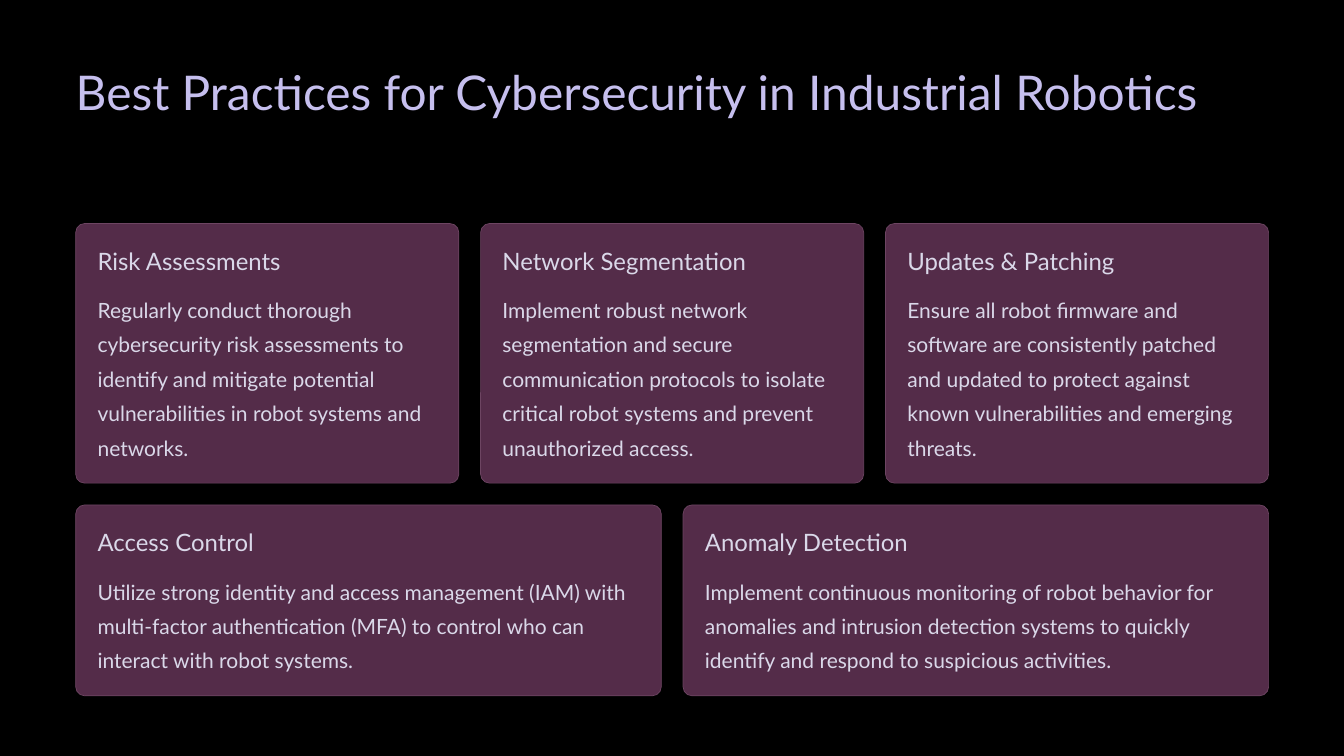
"""Builds a slide of five cybersecurity practice cards for industrial robotics."""
import pptx
import pptx.dml.color
import pptx.enum.shapes
import pptx.enum.text
import pptx.util
from pptx.util import Cm

MARGIN = 2.29
CONTENT_WIDTH = 36.07
GAP = 0.66
PADDING = 0.66
RADIUS = 0.27
BODY_OFFSET = 1.96

TITLE_STYLE = {"size": 41, "spacing": 51, "color": "C6BFEE"}
HEADING_STYLE = {"size": 20.5, "spacing": 25.5, "color": "DAD8E9"}
BODY_STYLE = {"size": 18, "spacing": 29.5, "color": "DAD8E9"}

FRAME_FORMAT = {
    "margin_left": 0,
    "margin_top": 0,
    "margin_right": 0,
    "margin_bottom": 0,
    "auto_size": pptx.enum.text.MSO_AUTO_SIZE.NONE,
    "vertical_anchor": pptx.enum.text.MSO_ANCHOR.TOP,
}

ROWS = [
    {"top": 6.76, "height": 7.85, "cards": [
        ("Risk Assessments",
         "Regularly conduct thorough cybersecurity risk assessments to identify "
         "and mitigate potential vulnerabilities in robot systems and networks."),
        ("Network Segmentation",
         "Implement robust network segmentation and secure communication protocols "
         "to isolate critical robot systems and prevent unauthorized access."),
        ("Updates & Patching",
         "Ensure all robot firmware and software are consistently patched and "
         "updated to protect against known vulnerabilities and emerging threats."),
    ]},
    {"top": 15.27, "height": 5.77, "cards": [
        ("Access Control",
         "Utilize strong identity and access management (IAM) with multi-factor "
         "authentication (MFA) to control who can interact with robot systems."),
        ("Anomaly Detection",
         "Implement continuous monitoring of robot behavior for anomalies and "
         "intrusion detection systems to quickly identify and respond to "
         "suspicious activities."),
    ]},
]


def paint(color_format, hex_color):
    color_format.rgb = pptx.dml.color.RGBColor.from_string(hex_color)


def apply_format(target, values):
    for name, value in values.items():
        setattr(target, name, value)


def write(frame, wording, style, wrap=True):
    apply_format(frame, {**FRAME_FORMAT, "word_wrap": wrap})
    paragraph = frame.paragraphs[0]
    paragraph.text = wording
    apply_format(paragraph, {
        "alignment": pptx.enum.text.PP_ALIGN.LEFT,
        "line_spacing": pptx.util.Pt(style["spacing"]),
        "space_before": pptx.util.Pt(0),
    })
    font = paragraph.runs[0].font
    apply_format(font, {"name": "Lato", "size": pptx.util.Pt(style["size"])})
    paint(font.color, style["color"])


def add_title(slide, wording):
    title = slide.shapes.title
    apply_format(title, {"left": Cm(MARGIN), "top": Cm(1.83),
                         "width": Cm(CONTENT_WIDTH), "height": Cm(3.6)})
    write(title.text_frame, wording, TITLE_STYLE)


def add_panel(slide, left, top, width, height):
    panel = slide.shapes.add_shape(
        pptx.enum.shapes.MSO_SHAPE.ROUNDED_RECTANGLE,
        Cm(left), Cm(top), Cm(width), Cm(height))
    panel.adjustments[0] = RADIUS / min(width, height)
    panel.shadow.inherit = False
    panel.fill.solid()
    paint(panel.fill.fore_color, "542C49")
    paint(panel.line.color, "6D4562")
    panel.line.width = pptx.util.Pt(0.6)


def add_text(slide, left, top, width, height, wording, style, wrap=True):
    box = slide.shapes.add_textbox(Cm(left), Cm(top), Cm(width), Cm(height))
    write(box.text_frame, wording, style, wrap)


def add_card(slide, left, top, width, height, heading, advice):
    add_panel(slide, left, top, width, height)
    text_left = left + PADDING
    text_width = width - 2 * PADDING
    add_text(slide, text_left, top + PADDING, text_width, 0.91,
             heading, HEADING_STYLE, wrap=False)
    add_text(slide, text_left, top + BODY_OFFSET, text_width,
             height - BODY_OFFSET - PADDING, advice, BODY_STYLE)


def add_row(slide, top, height, cards):
    width = (CONTENT_WIDTH - GAP * (len(cards) - 1)) / len(cards)
    for column, (heading, advice) in enumerate(cards):
        left = MARGIN + column * (width + GAP)
        add_card(slide, left, top, width, height, heading, advice)


def main():
    deck = pptx.Presentation()
    apply_format(deck, {"slide_width": Cm(40.64), "slide_height": Cm(22.86)})
    slide = deck.slides.add_slide(deck.slide_layouts.get_by_name("Title Only"))
    slide.background.fill.solid()
    paint(slide.background.fill.fore_color, "000000")
    add_title(slide, "Best Practices for Cybersecurity in Industrial Robotics")
    for row in ROWS:
        add_row(slide, **row)
    deck.save("out.pptx")


if __name__ == "__main__":
    main()
